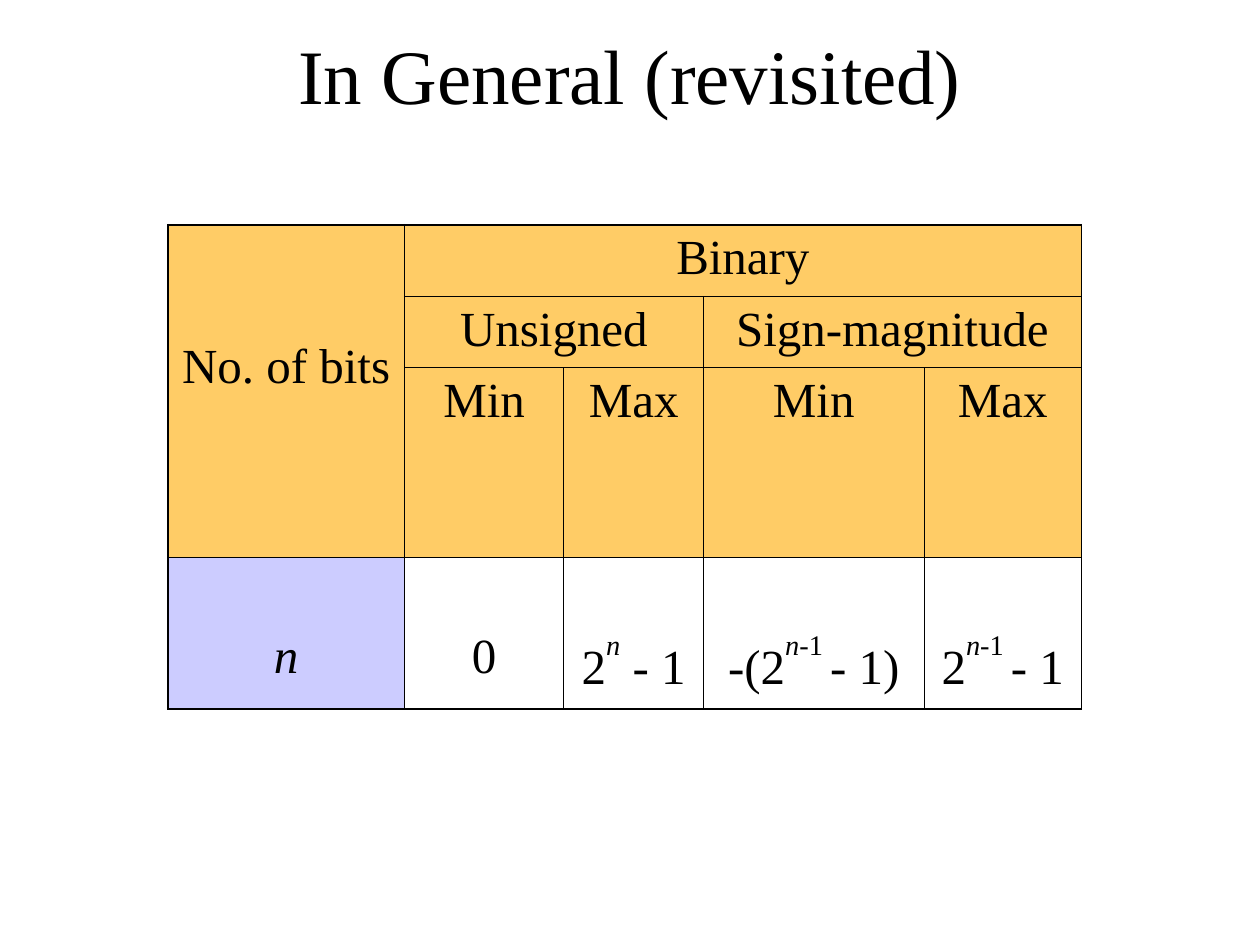
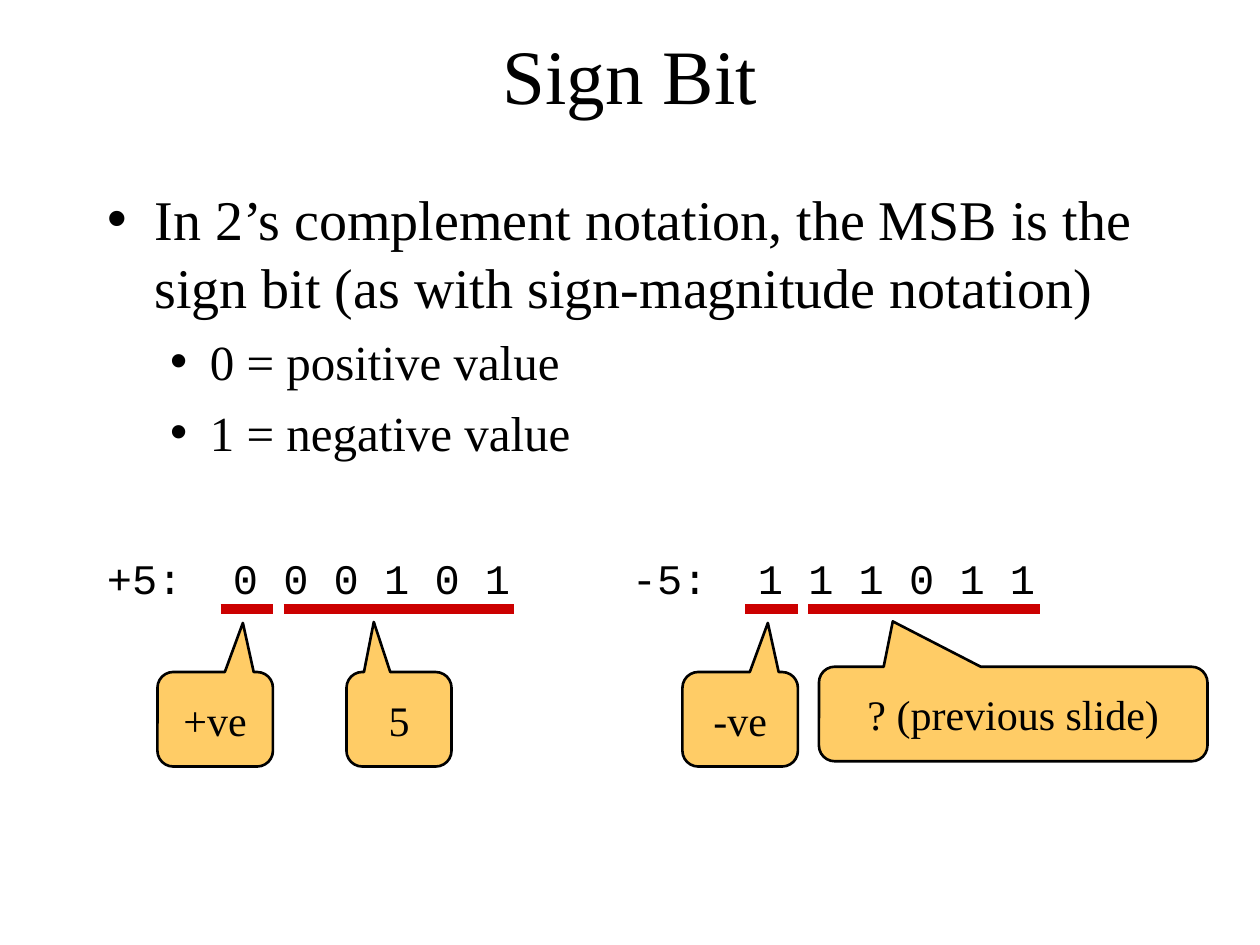
from lxml import etree
from pptx import Presentation
from pptx.dml.color import RGBColor
from pptx.enum.shapes import MSO_CONNECTOR, MSO_SHAPE
from pptx.enum.text import MSO_ANCHOR, MSO_AUTO_SIZE, PP_ALIGN
from pptx.oxml.ns import qn
from pptx.util import Pt

PX = 7620  # EMU per px, 120 px to the inch
SLIDE_SIZE = (1200, 900)
TITLE_BOX = (90, 20, 1020, 100)
BODY_BOX = (90, 170, 1020, 540)

BLACK = RGBColor(0x00, 0x00, 0x00)
ORANGE = RGBColor(0xFF, 0xCC, 0x66)
LILAC = RGBColor(0xCC, 0xCC, 0xFF)
RED = RGBColor(0xCC, 0x00, 0x00)

SERIF = "Times New Roman"
MONO = "Courier New"
CENTER = PP_ALIGN.CENTER
MIDDLE = MSO_ANCHOR.MIDDLE
NO_AUTOFIT = MSO_AUTO_SIZE.NONE
CALLOUT = MSO_SHAPE.ROUNDED_RECTANGULAR_CALLOUT
STRAIGHT = MSO_CONNECTOR.STRAIGHT
TITLE_AND_CONTENT, TITLE_ONLY = 1, 5

OUTER_BORDER, INNER_BORDER = 1.08, 0.45  # points
TABLE_ORIGIN = (160, 214)
COLUMN_WIDTHS = (225, 152, 133, 210, 150)
ROW_HEIGHTS = (68, 68, 181, 144)
BITS_TOP_MARGIN, VALUE_TOP_MARGIN = 110, 69

# (row, column, row span, column span, text)
HEADINGS = [
    (0, 0, 3, 1, "No. of bits"),
    (0, 1, 1, 4, "Binary"),
    (1, 1, 1, 2, "Unsigned"),
    (1, 3, 1, 2, "Sign-magnitude"),
    (2, 1, 1, 1, "Min"),
    (2, 2, 1, 1, "Max"),
    (2, 3, 1, 1, "Min"),
    (2, 4, 1, 1, "Max"),
]
# Each formula is a list of (text, italic, raised)
N_MINUS_1 = [("n", True, True), ("-1 ", False, True)]
FORMULAS = [
    [("n", True, False)],
    [("0", False, False)],
    [("2", False, False), ("n", True, True), (" - 1", False, False)],
    [("-(2", False, False), *N_MINUS_1, ("- 1)", False, False)],
    [("2", False, False), *N_MINUS_1, ("- 1", False, False)],
]
# (level, text)
SIGN_BIT_POINTS = [
    (0, "In 2’s complement notation, the MSB is the sign bit "
        "(as with sign-magnitude notation)"),
    (1, "0 = positive value"),
    (1, "1 = negative value"),
]
# level: (size in points, space before in points, left indent, hanging indent)
POINT_STYLES = {0: (32, 8, 45, 45), 1: (28, 7, 98, 38)}


def emu(box):
    return [length * PX for length in box]


def style_runs(paragraph, size, font=SERIF):
    for run in paragraph.runs:
        run.font.size = Pt(size)
        run.font.name = font
        run.font.color.rgb = BLACK


def place(shape, box):
    shape.left, shape.top, shape.width, shape.height = emu(box)


def add_titled_slide(prs, layout, heading):
    slide = prs.slides.add_slide(prs.slide_layouts[layout])
    title = slide.shapes.title
    place(title, TITLE_BOX)
    frame = title.text_frame
    frame.text = heading
    frame.auto_size = NO_AUTOFIT
    frame.vertical_anchor = MIDDLE
    frame.paragraphs[0].alignment = CENTER
    style_runs(frame.paragraphs[0], 44)
    return slide


def set_borders(cell, widths):
    """Draw black left, right, top and bottom borders, widths in points."""
    properties = cell._tc.get_or_add_tcPr()
    for index, (side, width) in enumerate(zip("LRTB", widths)):
        line = etree.Element(qn(f"a:ln{side}"), w=str(Pt(width)))
        fill = etree.SubElement(line, qn("a:solidFill"))
        etree.SubElement(fill, qn("a:srgbClr"), val=str(BLACK))
        properties.insert(index, line)


def finish_cell(cell, top_margin=None):
    if top_margin:
        cell.margin_top = top_margin * PX
    paragraph = cell.text_frame.paragraphs[0]
    paragraph.alignment = CENTER
    style_runs(paragraph, 28)


def add_range_table(slide, origin):
    row_count, column_count = len(ROW_HEIGHTS), len(COLUMN_WIDTHS)
    box = (*origin, sum(COLUMN_WIDTHS), sum(ROW_HEIGHTS))
    table = slide.shapes.add_table(row_count, column_count, *emu(box)).table
    table.first_row = table.horz_banding = False
    for column, width in zip(table.columns, COLUMN_WIDTHS):
        column.width = width * PX
    for row, height in zip(table.rows, ROW_HEIGHTS):
        row.height = height * PX

    last_row, last_column = row_count - 1, column_count - 1
    for r in range(row_count):
        for c in range(column_count):
            cell = table.cell(r, c)
            if r < last_row or c == 0:
                cell.fill.solid()
                cell.fill.fore_color.rgb = ORANGE if r < last_row else LILAC
            else:
                cell.fill.background()
            on_edge = (c == 0, c == last_column, r == 0, r == last_row)
            set_borders(cell, [OUTER_BORDER if edge else INNER_BORDER
                               for edge in on_edge])

    for r, c, row_span, column_span, text in HEADINGS:
        cell = table.cell(r, c)
        if row_span * column_span > 1:
            cell.merge(table.cell(r + row_span - 1, c + column_span - 1))
        cell.text_frame.text = text
        finish_cell(cell, BITS_TOP_MARGIN if row_span > 1 else None)

    for c, formula in enumerate(FORMULAS):
        cell = table.cell(last_row, c)
        for text, italic, raised in formula:
            run = cell.text_frame.paragraphs[0].add_run()
            run.text = text
            run.font.italic = italic
            if raised:
                run.font._element.set("baseline", "60000")
        finish_cell(cell, VALUE_TOP_MARGIN)


def add_points(slide, box):
    body = slide.placeholders[1]
    place(body, box)
    frame = body.text_frame
    frame.text = "\n".join(text for _, text in SIGN_BIT_POINTS)
    frame.auto_size = NO_AUTOFIT
    for paragraph, (level, _) in zip(frame.paragraphs, SIGN_BIT_POINTS):
        size, space_before, indent, hanging = POINT_STYLES[level]
        paragraph.level = level
        paragraph.space_before = Pt(space_before)
        style_runs(paragraph, size)
        properties = paragraph._p.get_or_add_pPr()
        properties.set("marL", str(indent * PX))
        properties.set("indent", str(-hanging * PX))
        etree.SubElement(properties, qn("a:buChar"), char="•")


def add_callout(shapes, box, text, tip_x, tip_y):
    callout = shapes.add_shape(CALLOUT, *emu(box))
    callout.shadow.inherit = False
    callout.adjustments[0], callout.adjustments[1] = tip_x, tip_y
    callout.fill.solid()
    callout.fill.fore_color.rgb = ORANGE
    callout.line.color.rgb = BLACK
    callout.line.width = Pt(1.5)
    frame = callout.text_frame
    frame.text = text
    frame.vertical_anchor = MIDDLE
    frame.paragraphs[0].alignment = CENTER
    style_runs(frame.paragraphs[0], 24)


def add_underline(shapes, left, top, width):
    underline = shapes.add_connector(
        STRAIGHT, *emu((left, top, left + width, top)))
    underline.line.color.rgb = RED
    underline.line.width = Pt(6)
    etree.SubElement(underline._element.spPr, qn("a:effectLst"))


def add_bit_pattern(slide, left, top, pattern, sign):
    """Bits with the sign bit and the magnitude underlined; returns the group's shapes."""
    shapes = slide.shapes.add_group_shape().shapes
    bits = shapes.add_textbox(*emu((left, top, 430, 60)))
    bits.text_frame.word_wrap = True
    bits.text_frame.text = pattern
    style_runs(bits.text_frame.paragraphs[0], 24, MONO)
    add_underline(shapes, left + 120, top + 60, 50)
    add_underline(shapes, left + 180, top + 60, 220)
    add_callout(shapes, (left + 60, top + 120, 110, 90), sign, 0.24, -1.02)
    return shapes


def build_general_slide(prs):
    slide = add_titled_slide(prs, TITLE_ONLY, "In General (revisited)")
    add_range_table(slide, TABLE_ORIGIN)


def build_sign_bit_slide(prs):
    slide = add_titled_slide(prs, TITLE_AND_CONTENT, "Sign Bit")
    add_points(slide, BODY_BOX)
    add_bit_pattern(slide, 590, 520, "-5:  1 1 1 0 1 1", "-ve")
    plus_five = add_bit_pattern(slide, 90, 520, "+5:  0 0 0 1 0 1", "+ve")
    add_callout(plus_five, (330, 640, 100, 90), "5", -0.24, -1.03)
    add_callout(slide.shapes, (780, 635, 370, 90), "? (previous slide)",
                -0.31, -0.98)


def main():
    prs = Presentation()
    prs.slide_width, prs.slide_height = emu(SLIDE_SIZE)
    build_general_slide(prs)
    build_sign_bit_slide(prs)
    prs.save("out.pptx")


if __name__ == "__main__":
    main()
